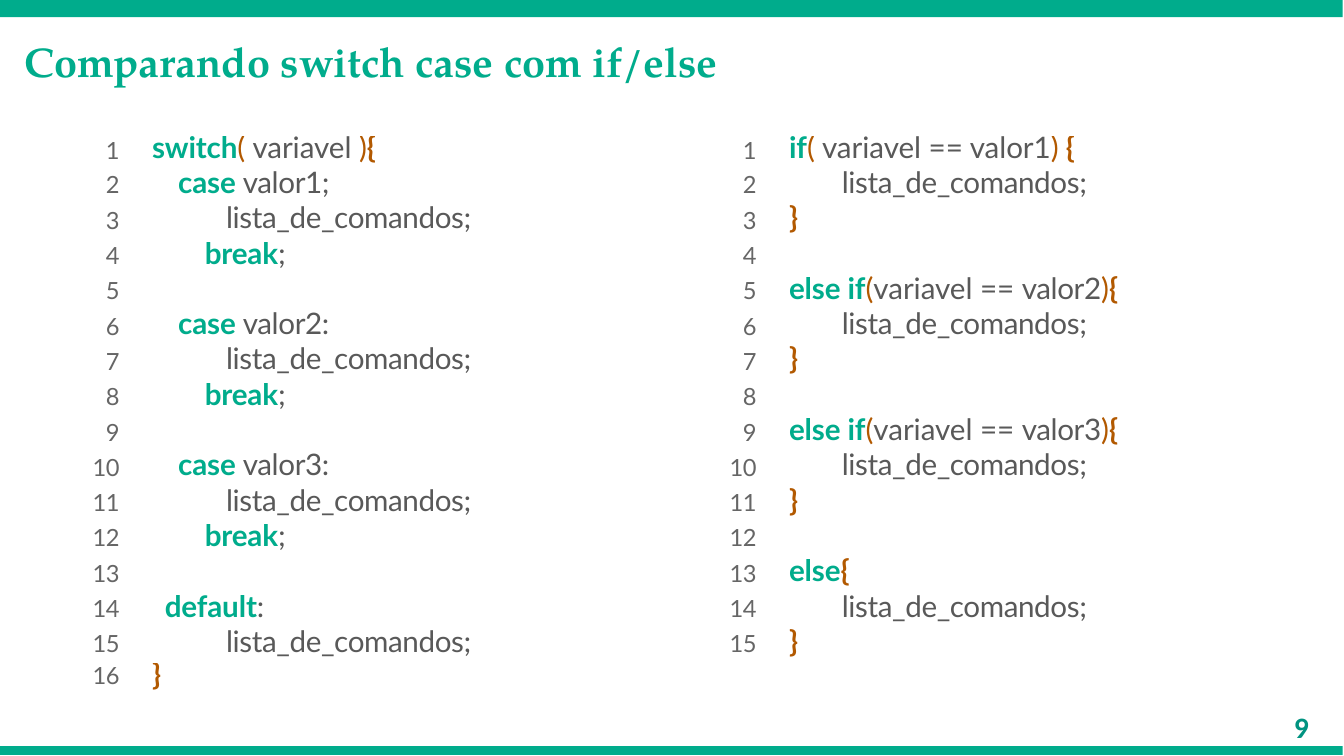
"""Builds the slide that compares switch case with if/else in a numbered code table."""
from lxml import etree
from pptx import Presentation
from pptx.dml.color import RGBColor
from pptx.enum.shapes import MSO_SHAPE
from pptx.enum.text import PP_ALIGN
from pptx.oxml.ns import qn
from pptx.util import Pt

RECTANGLE = MSO_SHAPE.RECTANGLE
LEFT, RIGHT = PP_ALIGN.LEFT, PP_ALIGN.RIGHT
GREEN, BROWN, GRAY = "00AC8C", "B25900", "595959"

STYLES = {
    "title": dict(name="TeX Gyre Pagella", size=14, color=GREEN, bold=True, tracking=0),
    "page number": dict(name="Calibri", size=10, color="009380", bold=True, tracking=0),
    "line number": dict(name="Lato", size=8, color="666666", bold=False, tracking=-20),
    "keyword": dict(name="Lato", size=10, color=GREEN, bold=True, tracking=-4),
    "plain": dict(name="Lato", size=10, color=GRAY, bold=False, tracking=-10),
    "condition": dict(name="Lato", size=10, color=GRAY, bold=False, tracking=0),
    "paren": dict(name="Lato", size=10, color=BROWN, bold=False, tracking=-10),
    "brace": dict(name="Lato", size=10, color=BROWN, bold=True, tracking=-10),
}


def rgb(color):
    return RGBColor.from_string(color)


def write(frame, spans, insets, **formats):
    for side, inset in zip(("left", "top", "right", "bottom"), insets):
        setattr(frame, f"margin_{side}", Pt(inset))
    para = frame.paragraphs[0] if hasattr(frame, "paragraphs") else frame.text_frame.paragraphs[0]
    for key, value in formats.items():
        setattr(para, key, value)
    for text, style in spans:
        span = para.add_run()
        span.text = text
        look = STYLES[style]
        for key in ("name", "bold"):
            setattr(span.font, key, look[key])
        span.font.size = Pt(look["size"])
        span.font.color.rgb = rgb(look["color"])
        span.font._element.set("spc", str(look["tracking"]))
    if not spans:
        etree.SubElement(para._p, qn("a:endParaRPr"), sz="800")


closing = (6, [("}", "brace")])
blank = (6, [])
command = [("lista_de_comandos;", "plain")]

switch_lines = [(6, [("switch", "keyword"), ("( ", "paren"), ("variavel ", "condition"),
                     (")", "paren"), ("{", "brace")])]
for value, mark in ((1, ";"), (2, ":"), (3, ":")):
    switch_lines += [
        (14.8, [("case ", "keyword"), (f"valor{value}{mark}", "plain")]),
        (31, command),
        (23.8, [("break", "keyword"), (";", "plain")]),
        blank,
    ]
switch_lines += [(10.3, [("default", "keyword"), (":", "plain")]), (31, command), closing]

if_lines = []
for opening in (
    [("if", "keyword"), ("( ", "paren"), ("variavel == valor1", "condition"),
     (") ", "paren"), ("{", "brace")],
    [("else if", "keyword"), ("(", "paren"), ("variavel == ", "condition"),
     ("valor2", "plain"), (")", "paren"), ("{", "brace")],
    [("else if", "keyword"), ("(", "paren"), ("variavel == ", "condition"),
     ("valor3", "plain"), (")", "paren"), ("{", "brace")],
    [("else", "keyword"), ("{", "brace")],
):
    if_lines += [(6, opening), (23.8, command), closing, blank]

deck = Presentation()
deck.slide_width, deck.slide_height = Pt(454), Pt(255.5)
page = deck.slides.add_slide(deck.slide_layouts[6])

for top, height in ((0, 5.8), (252.2, 3)):
    bar = page.shapes.add_shape(RECTANGLE, Pt(0), Pt(top), Pt(453.6), Pt(height))
    bar.shadow.inherit = False
    bar.fill.solid()
    bar.fill.fore_color.rgb = rgb(GREEN)
    bar.line.fill.background()

for text, style, place, insets, before in (
    ("Comparando switch case com if/else", "title", (7.4, 10.8, 237.6, 19.4), (0.9, 1.3, 0, 0), 1.4),
    ("9", "page number", (429.1, 238.3, 17.3, 15.1), (8, 1.2, 0, 0), 1.2),
):
    box = page.shapes.add_textbox(*map(Pt, place))
    box.text_frame.word_wrap = True
    write(box.text_frame, [(text, style)], insets, space_before=Pt(before))

row_count = len(switch_lines)
code = page.shapes.add_table(row_count, 4, Pt(29.5), Pt(45.4), Pt(378.7), Pt(189.6)).table
code.first_row = code.horz_banding = False
for column, width in zip(code.columns, (15.9, 157.7, 57.5, 147.6)):
    column.width = Pt(width)

for index, row in enumerate(code.rows):
    is_edge = index in (0, row_count - 1)
    row.height = Pt(11.2 if is_edge else 11.94)
    for column, lines in ((0, switch_lines), (2, if_lines)):
        number_cell, line_cell = code.cell(index, column), code.cell(index, column + 1)
        for cell in (number_cell, line_cell):
            cell.fill.background()
        is_numbered = column == 0 or index < row_count - 1
        number = [(str(index + 1), "line number")] if is_numbered else []
        write(number_cell, number, (0, 0.5 if is_edge else 1, 5, 0), alignment=RIGHT,
              space_before=Pt(0.6 if index == 0 else 1.3),
              line_spacing=Pt(8.9) if index == row_count - 1 else None)
        indent, spans = lines[index]
        write(line_cell, spans, (indent, 0, 0, 0), alignment=LEFT,
              line_spacing=Pt(10.2 if is_edge else 10.9))

deck.save("out.pptx")
